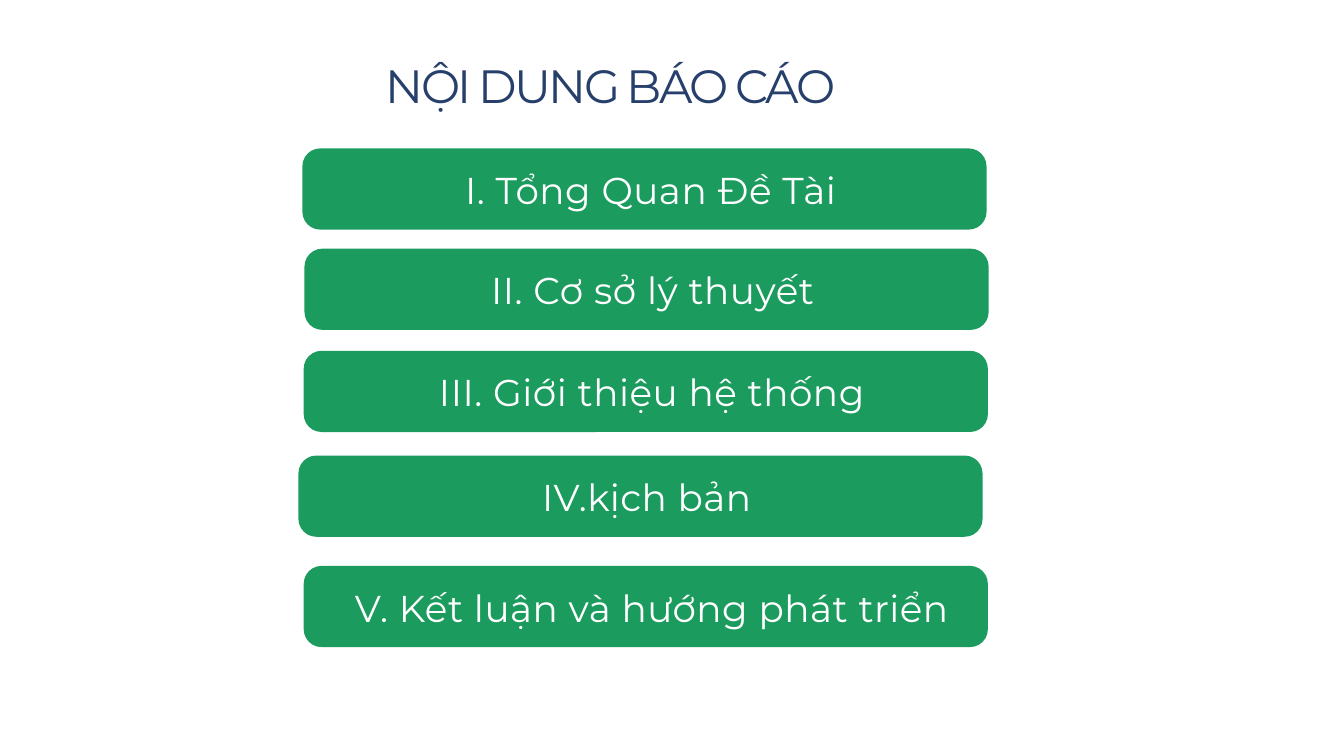
from dataclasses import dataclass

from pptx import Presentation
from pptx.dml.color import RGBColor
from pptx.enum.shapes import MSO_SHAPE
from pptx.enum.text import MSO_AUTO_SIZE, PP_ALIGN
from pptx.util import Cm, Pt


@dataclass(frozen=True)
class Theme:
    font: str = "Montserrat"
    navy: RGBColor = RGBColor(0x26, 0x3F, 0x6B)
    green: RGBColor = RGBColor(0x1C, 0x9B, 0x5E)
    white: RGBColor = RGBColor(0xFF, 0xFF, 0xFF)
    title_size: int = 50
    title_leading: int = 49
    title_spacing: int = -290
    item_size: int = 40
    item_leading: int = 39
    item_spacing: int = 60


THEME = Theme()
BAR_W, BAR_H = 25.86, 3.07

# left, top (cm) and label of each section
SECTIONS = [
    (11.43, 5.61, "I. Tổng Quan Đề Tài"),
    (11.51, 9.4, "II. Cơ sở lý thuyết"),
    (11.48, 13.26, "III. Giới thiệu hệ thống"),
    (11.28, 17.22, "IV.kịch bản"),
    (11.48, 21.39, "V. Kết luận và hướng phát triển"),
]


def add_line(shapes, box, text, size, leading, spacing, color):
    """Add one centred line of text; spacing is in hundredths of a point."""
    tf = shapes.add_textbox(*map(Cm, box)).text_frame
    tf.word_wrap = True
    tf.auto_size = MSO_AUTO_SIZE.SHAPE_TO_FIT_TEXT
    tf.margin_left = tf.margin_top = tf.margin_right = tf.margin_bottom = 0
    p = tf.paragraphs[0]
    p.alignment = PP_ALIGN.CENTER
    p.line_spacing = Pt(leading)
    r = p.add_run()
    r.text = text
    r.font.name = THEME.font
    r.font.size = Pt(size)
    r.font.color.rgb = color
    r.font._element.set("spc", str(spacing))
    return p


def add_title(s, box):
    add_line(s.shapes, box, "NỘI DUNG BÁO CÁO", THEME.title_size,
             THEME.title_leading, THEME.title_spacing, THEME.navy)


def add_section(s, box, label):
    """Group a rounded bar with its label."""
    left, top, width, height = box
    shapes = s.shapes.add_group_shape().shapes
    bar = shapes.add_shape(MSO_SHAPE.ROUNDED_RECTANGLE, *map(Cm, box))
    bar.adjustments[0] = 0.22
    bar.shadow.inherit = False
    bar.fill.solid()
    bar.fill.fore_color.rgb = THEME.green
    bar.line.fill.background()

    p = add_line(shapes, (left, top + 1.03, width - 0.41, height - 1.67), label,
                 THEME.item_size, THEME.item_leading, THEME.item_spacing, THEME.white)
    p.level = 1
    pPr = p._p.get_or_add_pPr()
    pPr.set("marL", str(Cm(0.89)))
    pPr.set("indent", "0")


def main():
    prs = Presentation()
    prs.slide_width, prs.slide_height = Cm(50.8), Cm(28.575)
    s = prs.slides.add_slide(prs.slide_layouts[6])
    s.background.fill.solid()
    s.background.fill.fore_color.rgb = THEME.white
    add_title(s, (3.61, 2.54, 38.94, 1.78))
    for left, top, label in SECTIONS:
        add_section(s, (left, top, BAR_W, BAR_H), label)
    prs.save("out.pptx")


if __name__ == "__main__":
    main()
